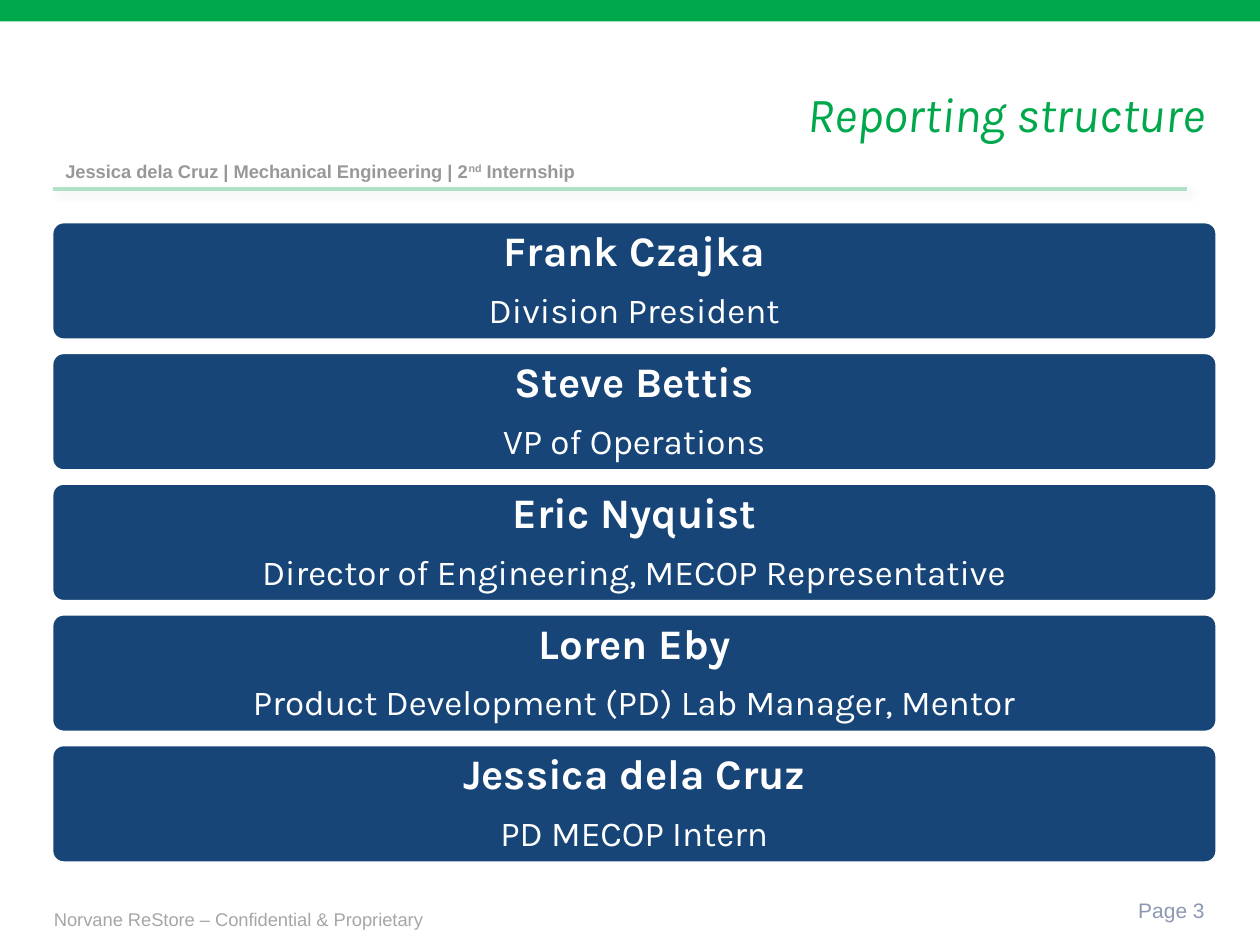
from dataclasses import dataclass

from lxml import etree
from pptx import Presentation
from pptx.dml.color import RGBColor
from pptx.enum import shapes, text
from pptx.oxml import ns, parse_xml
from pptx.util import Inches, Pt


@dataclass(frozen=True)
class Theme:
    green: str = "00A84C"
    navy: str = "174578"
    white: str = "FFFFFF"
    footer_gray: str = "A6A6A6"
    byline_gray: str = "989898"
    page_gray: str = "8D98B3"
    heading_font: str = "Karla"
    small_font: str = "Arial"
    title_size: float = 28
    name_size: float = 24
    role_size: float = 20
    page_size: float = 12
    small_size: float = 10.5


theme = Theme()


def style_paragraph(paragraph, font_name, size, color, bold=False, italic=False, align=text.PP_ALIGN.LEFT):
    paragraph.alignment = align
    for run in paragraph.runs:
        run.font.name = font_name
        run.font.size = Pt(size)
        run.font.color.rgb = RGBColor.from_string(color)
        run.font.bold = bold
        run.font.italic = italic


def add_label(left, top, width, height, anchor):
    text_box = slide.shapes.add_textbox(Inches(left), Inches(top), Inches(width), Inches(height))
    text_box.text_frame.word_wrap = True
    text_box.text_frame.vertical_anchor = anchor
    return text_box.text_frame.paragraphs[0]


presentation = Presentation()
presentation.slide_width = Inches(10)
presentation.slide_height = Inches(7.5)
slide = presentation.slides.add_slide(presentation.slide_layouts[5])

top_band = slide.shapes.add_shape(
    shapes.MSO_SHAPE.RECTANGLE, Inches(0), Inches(0), Inches(10), Inches(0.17))
top_band.shadow.inherit = False
top_band.fill.solid()
top_band.fill.fore_color.rgb = RGBColor.from_string(theme.green)
top_band.line.fill.background()

divider = slide.shapes.add_connector(
    shapes.MSO_CONNECTOR.STRAIGHT, Inches(0.42), Inches(1.5), Inches(9.42), Inches(1.5))
divider.line.width = Pt(2)
divider.line.color.rgb = RGBColor.from_string(theme.green)
line_color = divider.line._ln.find(".//" + ns.qn("a:srgbClr"))
etree.SubElement(line_color, ns.qn("a:alpha")).set("val", "30000")
divider._element.spPr.append(parse_xml(
    f'<a:effectLst {ns.nsdecls("a")}>'
    f'<a:outerShdw blurRad="{Pt(4)}" dist="{Pt(3)}" dir="2700000" rotWithShape="0">'
    '<a:srgbClr val="000000"><a:alpha val="40000"/></a:srgbClr>'
    '</a:outerShdw></a:effectLst>'))

footer = add_label(0.33, 7.17, 3.42, 0.25, text.MSO_ANCHOR.MIDDLE)
footer.text = "Norvane ReStore – Confidential & Proprietary"
style_paragraph(footer, theme.small_font, theme.small_size, theme.footer_gray)

title = slide.shapes.title
title.left, title.top = Inches(3.44), Inches(0.42)
title.width, title.height = Inches(6.22), Inches(0.95)
title.text_frame.text = "Reporting structure"
title.text_frame.vertical_anchor = text.MSO_ANCHOR.MIDDLE
style_paragraph(title.text_frame.paragraphs[0], theme.heading_font, theme.title_size,
                theme.green, italic=True, align=text.PP_ALIGN.RIGHT)

people = [
    ("Frank Czajka", "Division President"),
    ("Steve Bettis", "VP of Operations"),
    ("Eric Nyquist", "Director of Engineering, MECOP Representative"),
    ("Loren Eby", "Product Development (PD) Lab Manager, Mentor"),
    ("Jessica dela Cruz", "PD MECOP Intern"),
]
first_top, last_top = 1.76, 5.91
pitch = (last_top - first_top) / (len(people) - 1)

for index, (name, role) in enumerate(people):
    card = slide.shapes.add_shape(
        shapes.MSO_SHAPE.ROUNDED_RECTANGLE,
        Inches(0.41), Inches(first_top + index * pitch), Inches(9.25), Inches(0.94))
    card.adjustments[0] = 0.1
    card.shadow.inherit = False
    card.fill.solid()
    card.fill.fore_color.rgb = RGBColor.from_string(theme.navy)
    card.line.color.rgb = RGBColor.from_string(theme.white)
    card.line.width = Pt(2)
    frame = card.text_frame
    frame.word_wrap = True
    frame.vertical_anchor = text.MSO_ANCHOR.MIDDLE
    frame.text = f"{name}\n{role}"
    for paragraph, size, bold in zip(frame.paragraphs, (theme.name_size, theme.role_size), (True, False)):
        paragraph.line_spacing = 0.9
        style_paragraph(paragraph, theme.heading_font, size, theme.white,
                        bold=bold, align=text.PP_ALIGN.CENTER)
    frame.paragraphs[0].space_after = Pt(10)

page_number = add_label(7.58, 7.02, 2.08, 0.4, text.MSO_ANCHOR.MIDDLE)
page_number.text = "Page 3"
style_paragraph(page_number, theme.small_font, theme.page_size, theme.page_gray,
                align=text.PP_ALIGN.RIGHT)

byline = add_label(0.42, 1.22, 5.42, 0.28, text.MSO_ANCHOR.TOP)
for part in ("Jessica dela Cruz | Mechanical Engineering | 2", "nd", " Internship"):
    byline.add_run().text = part
style_paragraph(byline, theme.small_font, theme.small_size, theme.byline_gray, bold=True)
byline.runs[1].font._element.set("baseline", "30000")

presentation.save("out.pptx")
